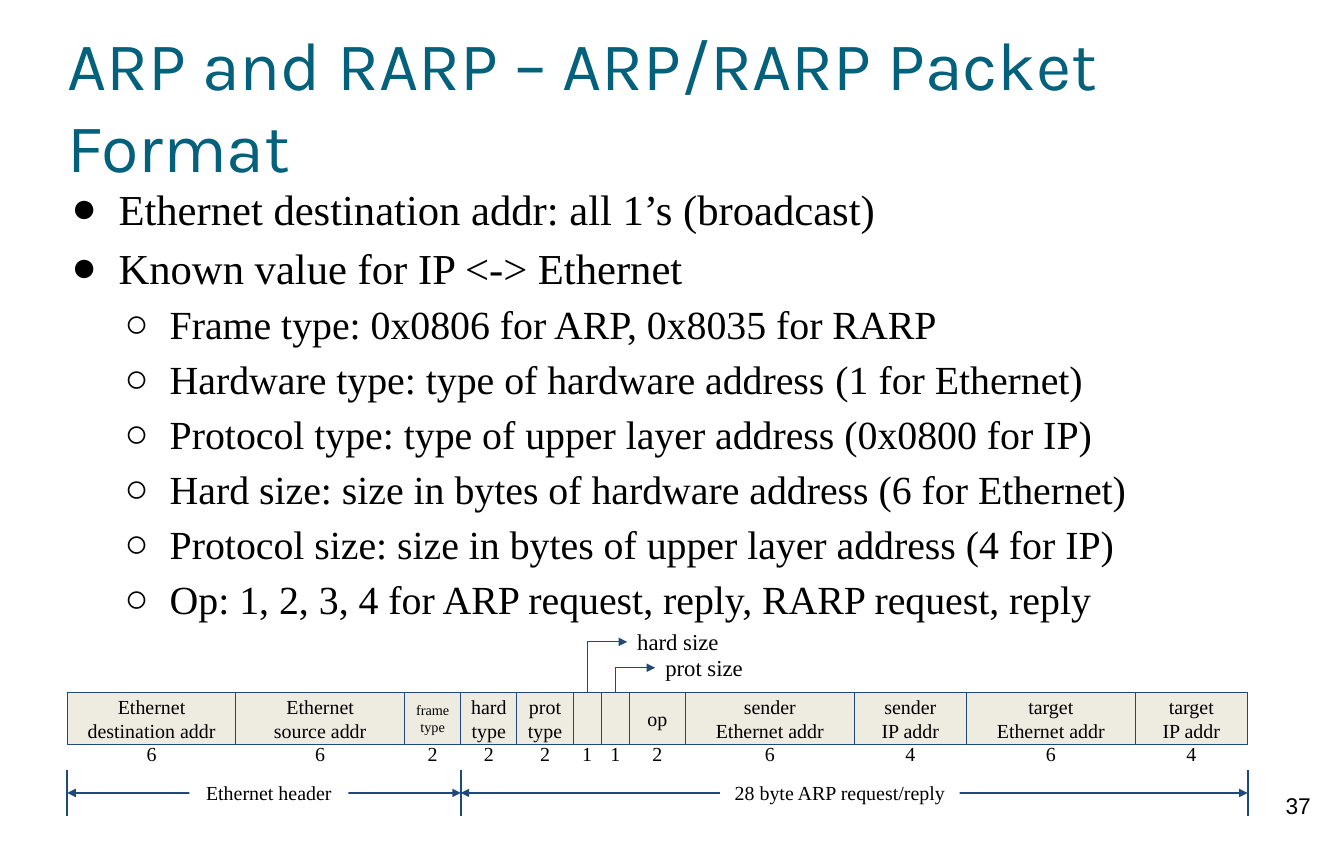
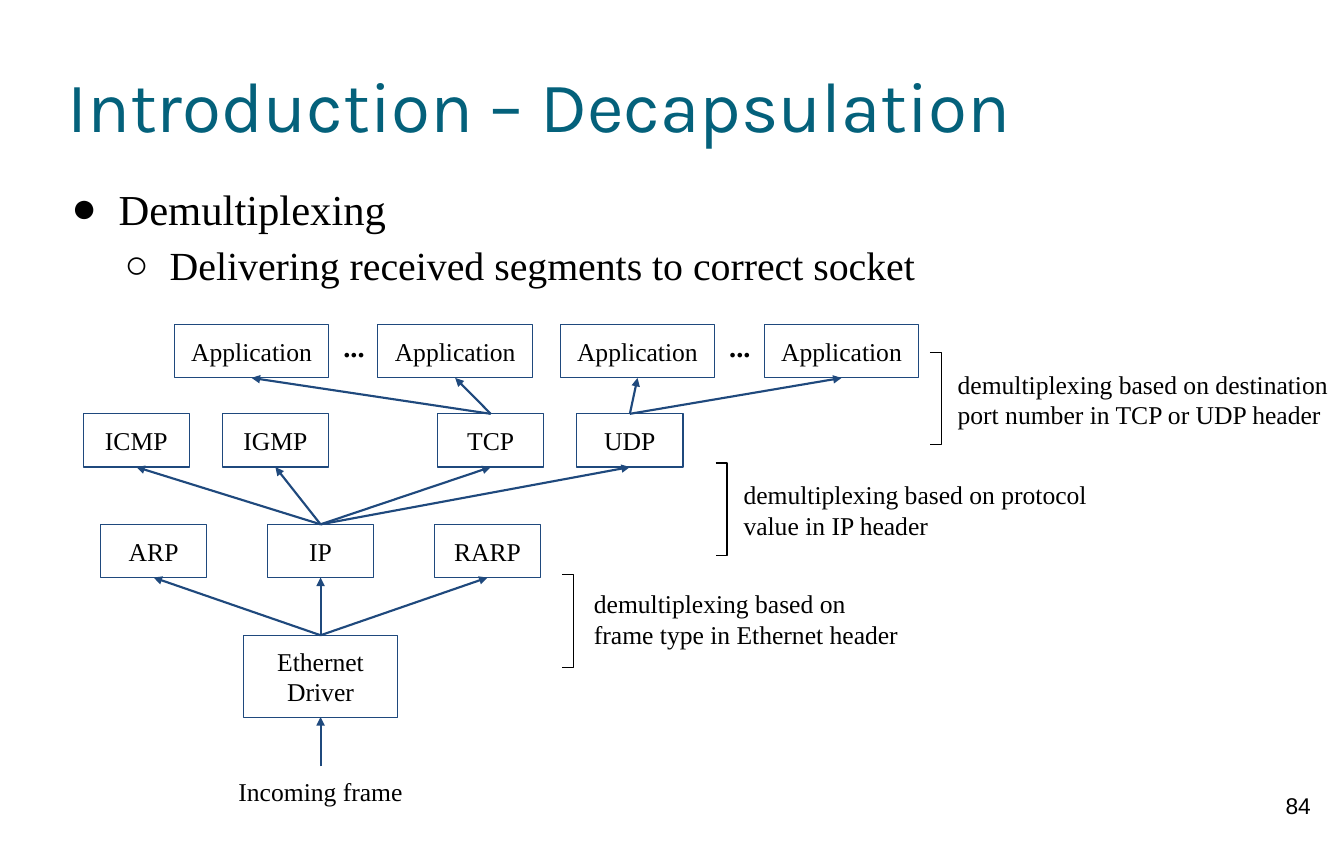
from dataclasses import dataclass

from lxml.etree import SubElement
from pptx import Presentation
from pptx.dml.color import RGBColor
from pptx.enum.shapes import MSO_CONNECTOR, MSO_SHAPE
from pptx.enum.text import MSO_ANCHOR, MSO_AUTO_SIZE, PP_ALIGN
from pptx.oxml.ns import qn
from pptx.util import Cm, Pt


@dataclass(frozen=True)
class Theme:
    title: str = "04617B"
    text: str = "000000"
    line: str = "1F497D"
    field: str = "EEECE1"
    paper: str = "FFFFFF"
    title_font: str = "Karla"
    body_font: str = "Times New Roman"
    number_font: str = "Arial"
    bullet_sizes: tuple = (30, 28)
    node_size: int = 18
    dots_size: int = 20
    callout_size: int = 16
    field_size: int = 14
    small_size: int = 10
    thin: float = 0.75
    thick: float = 1.5


T = Theme()
BULLETS = (("●", 1.27, -1.17), ("○", 2.54, -1.12))

ARP_TITLE = "ARP and RARP – ARP/RARP Packet Format"
ARP_POINTS = [
    (0, "Ethernet destination addr: all 1’s (broadcast)"),
    (0, "Known value for IP <-> Ethernet"),
    (1, "Frame type: 0x0806 for ARP, 0x8035 for RARP"),
    (1, "Hardware type: type of hardware address\t(1 for Ethernet)"),
    (1, "Protocol type: type of upper layer address (0x0800 for IP)"),
    (1, "Hard size: size in bytes of hardware address (6 for Ethernet)"),
    (1, "Protocol size: size in bytes of upper layer address (4 for IP)"),
    (1, "Op: 1, 2, 3, 4 for ARP request, reply, RARP request, reply"),
]
FIELDS = [
    ("Ethernet\ndestination addr", 6, T.field_size),
    ("Ethernet\nsource addr", 6, T.field_size),
    ("frame\ntype", 2, T.small_size),
    ("hard\ntype", 2, T.field_size),
    ("prot\ntype", 2, T.field_size),
    ("", 1, T.field_size),
    ("", 1, T.field_size),
    ("op", 2, T.field_size),
    ("sender\nEthernet addr", 6, T.field_size),
    ("sender\nIP addr", 4, T.field_size),
    ("target\nEthernet addr", 6, T.field_size),
    ("target\nIP addr", 4, T.field_size),
]
CALLOUTS = [("hard size", 5, 15.32), ("prot size", 6, 15.96)]
SPANS = [
    ("Ethernet header", 0, 14, 4.7, 3.94),
    ("28 byte ARP request/reply", 14, 42, 17.86, 5.94),
]

DEMUX_TITLE = "Introduction – Decapsulation"
DEMUX_POINTS = [
    (0, "Demultiplexing"),
    (1, "Delivering received segments to correct socket"),
]
LAYERS = [
    (8.05, 3.84, 1.32, [("app1", "Application", 4.32), ("app2", "Application", 9.37),
                        ("app3", "Application", 13.89), ("app4", "Application", 18.95)]),
    (10.26, 2.64, 1.32, [("icmp", "ICMP", 2.06), ("igmp", "IGMP", 5.51),
                         ("tcp", "TCP", 10.85), ("udp", "UDP", 14.3)]),
    (13, 2.64, 1.32, [("arp", "ARP", 2.49), ("ip", "IP", 6.63), ("rarp", "RARP", 10.77)]),
    (15.75, 3.84, 2.03, [("driver", "Ethernet\nDriver", 6.03)]),
]
FLOWS = {
    "frame": ["driver"],
    "driver": ["arp", "ip", "rarp"],
    "ip": ["icmp", "igmp", "tcp", "udp"],
    "tcp": ["app1", "app2"],
    "udp": ["app3", "app4"],
}
DOTS_LEFT = (7.37, 16.94)
STAGES = [
    ("demultiplexing based on destination port number in TCP or UDP header",
     23.06, 8.74, (23.5, 8.89, 9.83, 2.49)),
    ("demultiplexing based on protocol value in IP header",
     17.75, 11.48, (18.19, 11.63, 9.83, 2.49)),
    ("demultiplexing based on frame type in Ethernet header",
     13.94, 14.25, (14.48, 14.33, 8.25, 1.6)),
]


def rgb(color):
    return RGBColor.from_string(color)


def style(p, size, color=T.text, font=T.body_font, bold=False):
    p.font.size, p.font.name, p.font.bold = Pt(size), font, bold
    p.font.color.rgb = rgb(color)


def set_frame(tf, inset, anchor):
    tf.word_wrap, tf.auto_size, tf.vertical_anchor = True, MSO_AUTO_SIZE.NONE, anchor
    tf.margin_left = tf.margin_top = tf.margin_right = tf.margin_bottom = Cm(inset)


def add_box(slide, at, text, size, fill=None, line=None, align=PP_ALIGN.CENTER,
            anchor=MSO_ANCHOR.TOP, font=T.body_font, bold=False):
    at = [Cm(v) for v in at]
    if line:
        sp = slide.shapes.add_shape(MSO_SHAPE.RECTANGLE, *at)
        sp.shadow.inherit = False
        sp.line.color.rgb, sp.line.width = rgb(line), Pt(T.thin)
    else:
        sp = slide.shapes.add_textbox(*at)
    if fill:
        sp.fill.solid()
        sp.fill.fore_color.rgb = rgb(fill)
    else:
        sp.fill.background()
    set_frame(sp.text_frame, 0.25, anchor)
    if text:
        p = sp.text_frame.paragraphs[0]
        p.text, p.alignment = text, align
        style(p, size, font=font, bold=bold)
    return sp


def add_line(slide, start=(0, 0), end=(0, 0), kind=MSO_CONNECTOR.STRAIGHT,
             width=T.thick, arrows=()):
    cx = slide.shapes.add_connector(kind, *[Cm(v) for v in (*start, *end)])
    cx.line.color.rgb, cx.line.width = rgb(T.line), Pt(width)
    sp_pr = cx._element.spPr
    for arrow in arrows:
        SubElement(sp_pr.find(qn("a:ln")), qn(f"a:{arrow}")).set("type", "triangle")
    SubElement(sp_pr, qn("a:effectLst"))
    return cx


def add_points(slide, points, height):
    sp = slide.shapes.add_textbox(Cm(1.67), Cm(4.34), Cm(30.07), Cm(height))
    tf = sp.text_frame
    set_frame(tf, 0, MSO_ANCHOR.TOP)
    for i, (level, text) in enumerate(points):
        p = tf.add_paragraph() if i else tf.paragraphs[0]
        p.text, p.level, p.line_spacing = text, level, 1.15
        char, margin, indent = BULLETS[level]
        p_pr = p._p.get_or_add_pPr()
        p_pr.set("marL", str(Cm(margin)))
        p_pr.set("indent", str(Cm(indent)))
        SubElement(SubElement(p_pr, qn("a:buClr")), qn("a:srgbClr")).set("val", T.text)
        SubElement(p_pr, qn("a:buFont")).set("typeface", T.body_font)
        SubElement(p_pr, qn("a:buChar")).set("char", char)
        style(p, T.bullet_sizes[level])


def add_slide(prs, title, title_size, number, points, height):
    s = prs.slides.add_slide(prs.slide_layouts[5])
    sp = s.shapes.title
    sp.left, sp.top, sp.width, sp.height = Cm(1.67), Cm(0.84), Cm(30), Cm(3.5)
    set_frame(sp.text_frame, 0, MSO_ANCHOR.MIDDLE)
    p = sp.text_frame.paragraphs[0]
    p.text, p.alignment = title, PP_ALIGN.LEFT
    style(p, title_size, T.title, T.title_font)
    add_box(s, (31.19, 19.38, 2.01, 1.6), number, T.callout_size, font=T.number_font)
    add_points(s, points, height)
    return s


def build_packet(prs):
    s = add_slide(prs, ARP_TITLE, 48, "37", ARP_POINTS, 12.5)
    left, top, height, count_width = 1.67, 17.17, 1.3, 1.39
    byte = 29.27 / sum(size for _, size, _ in FIELDS)
    x, cells = left, []
    for text, size, points in FIELDS:
        width = size * byte
        cells.append(add_box(s, (x, top, width, height), text, points, T.field, T.line,
                             anchor=MSO_ANCHOR.MIDDLE))
        add_box(s, (x + (width - count_width) / 2, 18.14, count_width, 1.12),
                str(size), T.field_size)
        x += width

    for text, index, label_top in CALLOUTS:
        label_left = left + byte * (sum(f[1] for f in FIELDS[:index]) + 0.5) + 0.99
        label = add_box(s, (label_left, label_top, 3, 1.19), text, T.callout_size,
                        align=PP_ALIGN.LEFT)
        cx = add_line(s, kind=MSO_CONNECTOR.ELBOW, width=T.thin, arrows=["headEnd"])
        cx.begin_connect(label, 1)
        cx.end_connect(cells[index], 0)
        cx._element.spPr.find(qn("a:prstGeom")).set("prst", "bentConnector2")

    for mark in (0, 14, 42):
        x = left + mark * byte
        add_line(s, (x, 19.1), (x, 20.22))
    for text, first, last, label_left, width in SPANS:
        add_line(s, (left + first * byte, 19.66), (left + last * byte, 19.66),
                 arrows=["headEnd", "tailEnd"])
        add_box(s, (label_left, 19.1, width, 1.12), text, T.field_size, T.paper)


def build_demux(prs):
    s = add_slide(prs, DEMUX_TITLE, 50, "84", DEMUX_POINTS, 2.67)
    nodes = {"frame": add_box(s, (5.64, 19, 4.62, 1.32), "Incoming frame", T.node_size)}
    for top, width, height, row in LAYERS:
        for key, text, left in row:
            nodes[key] = add_box(s, (left, top, width, height), text, T.node_size,
                                 line=T.line, anchor=MSO_ANCHOR.MIDDLE)
    for source, targets in FLOWS.items():
        for target in targets:
            cx = add_line(s, arrows=["tailEnd"])
            cx.begin_connect(nodes[source], 0)
            cx.end_connect(nodes[target], 2)
    for left in DOTS_LEFT:
        add_box(s, (left, 7.9, 2.82, 1.6), "...", T.dots_size, bold=True)
    for text, left, top, label_at in STAGES:
        bracket = s.shapes.add_shape(MSO_SHAPE.RIGHT_BRACKET, Cm(left), Cm(top),
                                     Cm(0.28), Cm(2.29))
        bracket.adjustments[0] = 0
        bracket.shadow.inherit = False
        bracket.fill.background()
        bracket.line.color.rgb, bracket.line.width = rgb(T.text), Pt(T.thin)
        add_box(s, label_at, text, T.node_size, align=PP_ALIGN.LEFT)


def main():
    prs = Presentation()
    prs.slide_width, prs.slide_height = Cm(33.33), Cm(21)
    build_packet(prs)
    build_demux(prs)
    prs.save("out.pptx")


if __name__ == "__main__":
    main()
